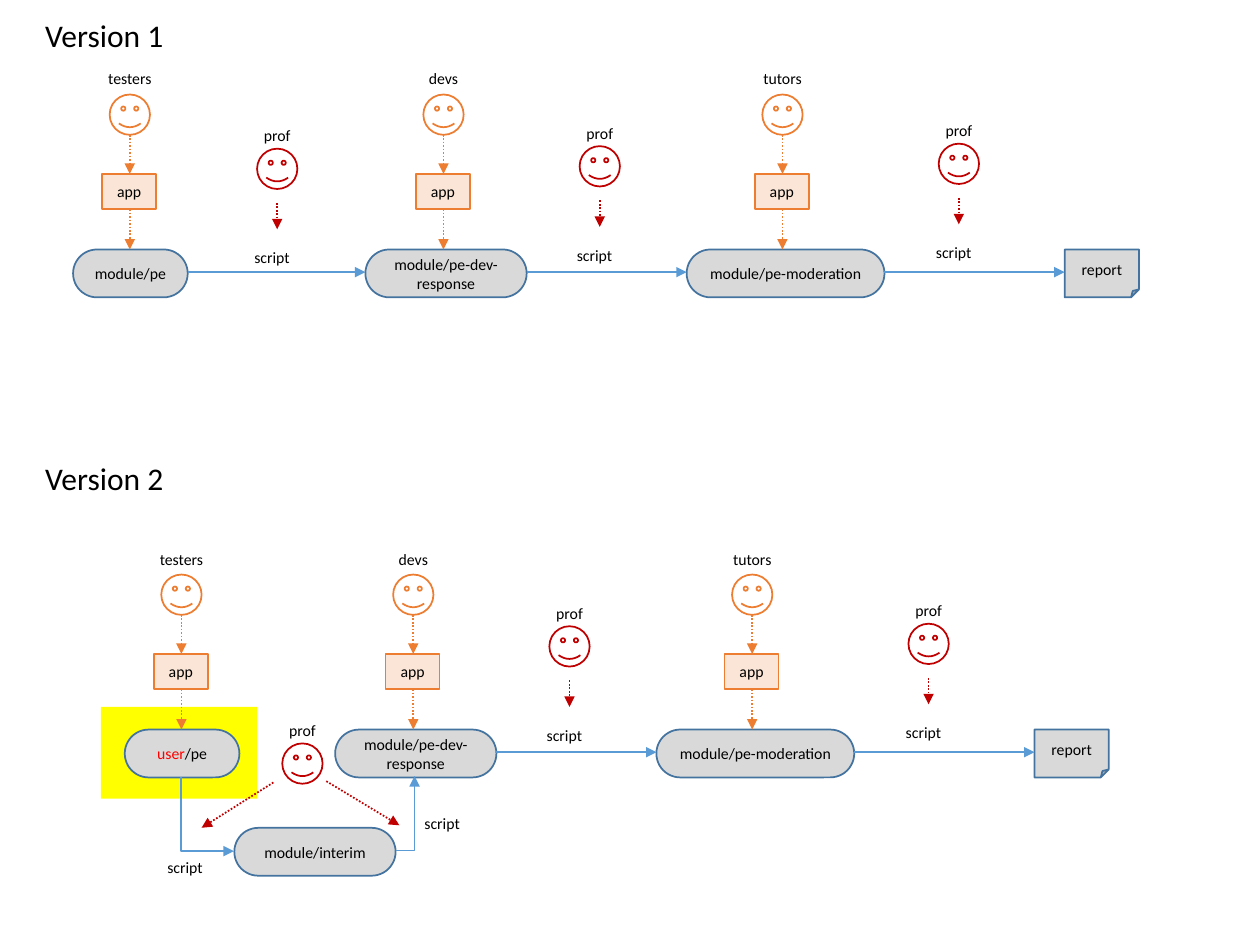
from pptx import Presentation, util as u
from pptx.dml.color import RGBColor
from pptx.enum import dml, shapes, text
from pptx.oxml import ns
from lxml import etree

INK, RED, ORANGE, BLUE = "000000", "C00000", "ED7D31", "5B9BD5"
GREY, EDGE, PEACH, YELLOW = "D9D9D9", "43739E", "FBE5D6", "FFFF00"
KIND = shapes.MSO_SHAPE


def hue(code):
    return RGBColor.from_string(code)


class Chart:
    """Draw the parts of a review workflow on one slide."""

    def __init__(self, slide, font="Calibri", size=9):
        self.items = slide.shapes
        self.font = font
        self.size = size

    def letter(self, frame, runs, align, size=None):
        frame.word_wrap = True
        para = frame.paragraphs[0]
        para.alignment = align
        para.font.name = self.font
        para.font.size = u.Pt(size or self.size)
        for words, code in runs:
            run = para.add_run()
            run.text = words
            run.font.color.rgb = hue(code)

    def shape(self, kind, box, fill=None, line=None, runs=()):
        item = self.items.add_shape(kind, *map(u.Inches, box))
        item.shadow.inherit = False
        if fill:
            item.fill.solid()
            item.fill.fore_color.rgb = hue(fill)
        else:
            item.fill.background()
        if line:
            item.line.color.rgb = hue(line)
            item.line.width = u.Pt(1)
        else:
            item.line.fill.background()
        if runs:
            item.text_frame.vertical_anchor = text.MSO_ANCHOR.MIDDLE
            self.letter(item.text_frame, runs, text.PP_ALIGN.CENTER)
        return item

    def label(self, words, box, align=text.PP_ALIGN.LEFT, size=None):
        frame = self.items.add_textbox(*map(u.Inches, box)).text_frame
        self.letter(frame, [(words, INK)], align, size)
        frame.auto_size = text.MSO_AUTO_SIZE.SHAPE_TO_FIT_TEXT

    def arrow(self, start, end, color=BLUE, dots=False, kind=shapes.MSO_CONNECTOR.STRAIGHT):
        item = self.items.add_connector(kind, *map(u.Inches, (*start, *end)))
        item.line.color.rgb = hue(color)
        item.line.width = u.Pt(1)
        if dots:
            item.line.dash_style = dml.MSO_LINE.ROUND_DOT
        props = item._element.spPr
        etree.SubElement(props.find(ns.qn("a:ln")), ns.qn("a:tailEnd"), type="triangle")
        etree.SubElement(props, ns.qn("a:effectLst"))
        return props

    def bend(self, start, end, turn=0):
        props = self.arrow(start, end, kind=shapes.MSO_CONNECTOR.ELBOW)
        props.find(ns.qn("a:prstGeom")).set("prst", "bentConnector2")
        if turn:
            props.find(ns.qn("a:xfrm")).set("rot", str(turn * 60000))

    def pill(self, x, y, wide, *runs):
        item = self.shape(KIND.ROUNDED_RECTANGLE, (x, y, wide, 0.38), GREY, EDGE, runs)
        item.adjustments[0] = 0.5

    def face(self, mid, top, name, wide, drop, color):
        self.label(name, (mid - wide / 2, top, wide, 0.25), text.PP_ALIGN.CENTER)
        self.shape(KIND.SMILEY_FACE, (mid - 0.16, top + drop, 0.32, 0.32), line=color)

    def prof(self, mid, top):
        self.face(mid, top, "prof", 0.45, 0.23, RED)

    def script(self, x, y):
        self.label("script", (x, y, 0.56, 0.25))

    def review(self, mid, top):
        self.prof(mid, top)
        self.arrow((mid, top + 0.66), (mid, top + 0.87), RED, True)
        self.script(mid - 0.28, top + 0.97)

    def user(self, mid, top, name):
        self.face(mid, top, name, 0.75, 0.25, ORANGE)
        self.shape(KIND.RECTANGLE, (mid - 0.22, top + 0.88, 0.43, 0.28),
                   PEACH, ORANGE, [("app", INK)])
        for start, end in ((0.57, 0.88), (1.16, 1.48)):
            self.arrow((mid, top + start), (mid, top + end), ORANGE, True)

    def flow(self, dx, dy):
        row, mid = 1.98 + dy, 2.16 + dy
        self.pill(2.9 + dx, row, 1.28, ("module/pe-dev-response", INK))
        self.pill(5.45 + dx, row, 1.57, ("module/pe-moderation", INK))
        self.shape(KIND.FOLDED_CORNER, (8.45 + dx, row, 0.59, 0.38),
                   GREY, EDGE, [("report", INK)])
        for start, end in ((4.18, 5.45), (7.02, 8.45)):
            self.arrow((start + dx, mid), (end + dx, mid))
        self.review(4.76 + dx, 0.93 + dy)
        self.review(7.61 + dx, 0.91 + dy)
        self.user(3.52 + dx, 0.5 + dy, "devs")
        self.user(6.21 + dx, 0.5 + dy, "tutors")

    def title(self, words, top):
        self.label(words, (0.26, top, 1.51, 0.4), size=18)


def main():
    deck = Presentation()
    deck.slide_width, deck.slide_height = u.Inches(10), u.Inches(7.5)
    chart = Chart(deck.slides.add_slide(deck.slide_layouts[6]))

    chart.title("Version 1", 0.08)
    chart.pill(0.58, 1.98, 0.91, ("module/pe", INK))
    chart.arrow((1.49, 2.16), (2.9, 2.16))
    chart.review(2.2, 0.95)
    chart.user(1.03, 0.5, "testers")
    chart.flow(0, 0)

    chart.title("Version 2", 3.59)
    chart.shape(KIND.RECTANGLE, (0.8, 5.61, 1.24, 0.73), YELLOW)
    chart.pill(0.99, 5.79, 0.91, ("user", "FF0000"), ("/pe", INK))
    chart.user(1.44, 4.31, "testers")
    chart.flow(-0.24, 3.81)
    chart.pill(1.86, 6.57, 1.28, ("module/interim", INK))
    chart.bend((1.94, 6.25), (1.35, 6.67), 270)
    chart.bend((3.14, 6.75), (3.29, 6.16))
    chart.script(1.23, 6.76)
    chart.script(3.27, 6.41)
    chart.prof(2.4, 5.67)
    chart.arrow((2.17, 6.21), (1.6, 6.57), RED, True)
    chart.arrow((2.59, 6.2), (3.17, 6.55), RED, True)

    deck.save("out.pptx")


if __name__ == "__main__":
    main()
